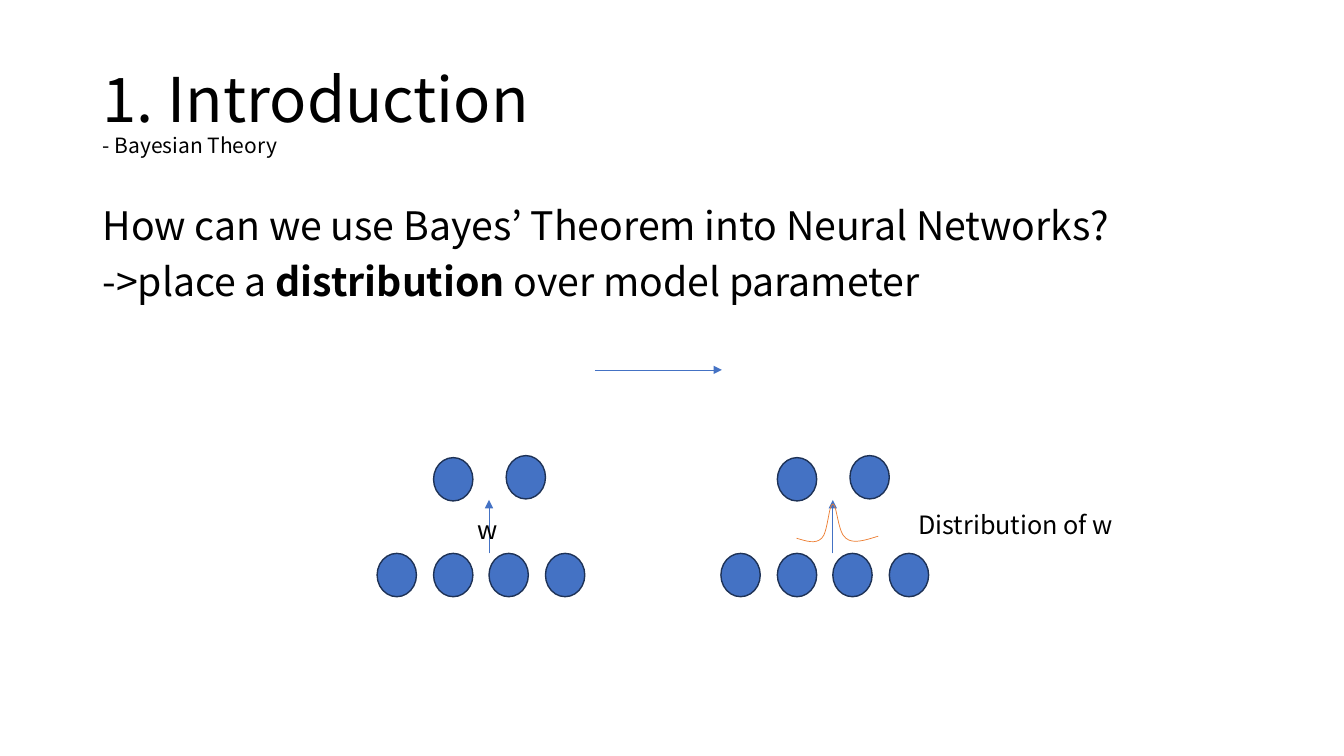
from lxml import etree
from pptx import Presentation
from pptx import util as u
from pptx.dml.color import RGBColor
from pptx.enum import shapes, text
from pptx.oxml.ns import qn

PX = 9144
FONT = "Noto Sans CJK KR"
BLACK, BLUE, NAVY, ORANGE = "000000", "4472C4", "1E3256", "ED7D31"


def px(length):
    return u.Emu(length * PX)


def colour(value):
    return RGBColor.from_string(value)


def outline(shape, line_colour, width):
    shape.line.color.rgb = colour(line_colour)
    shape.line.width = u.Pt(width)


def add_text(slide, box, paragraphs, anchor=text.MSO_ANCHOR.TOP, spacing=1.0, gap=0):
    frame = slide.shapes.add_textbox(*map(px, box)).text_frame
    frame.word_wrap = True
    frame.vertical_anchor = anchor
    for index, runs in enumerate(paragraphs):
        paragraph = frame.paragraphs[0] if index == 0 else frame.add_paragraph()
        paragraph.line_spacing = spacing
        if index:
            paragraph.space_before = u.Pt(gap)
        for words, size, bold in runs:
            if words == "\n":
                paragraph.add_line_break()
                continue
            run = paragraph.add_run()
            run.text = words
            run.font.name = FONT
            run.font.size = u.Pt(size)
            run.font.bold = bold
            run.font.color.rgb = colour(BLACK)


def add_arrow(slide, x1, y1, x2, y2):
    arrow = slide.shapes.add_connector(
        shapes.MSO_CONNECTOR.STRAIGHT, px(x1), px(y1), px(x2), px(y2))
    outline(arrow, BLUE, 0.5)
    etree.SubElement(arrow.line._get_or_add_ln(), qn("a:tailEnd"), type="triangle")
    etree.SubElement(arrow._element.spPr, qn("a:effectLst"))


def add_neuron(slide, left, top):
    neuron = slide.shapes.add_shape(
        shapes.MSO_SHAPE.OVAL, px(left), px(top), px(39), px(43))
    neuron.shadow.inherit = False
    neuron.fill.solid()
    neuron.fill.fore_color.rgb = colour(BLUE)
    outline(neuron, NAVY, 1)


def add_network(slide, left):
    for index in range(4):
        add_neuron(slide, left + round(index * 167 / 3), 549)
    add_neuron(slide, left + 56, 454)
    add_neuron(slide, left + 128, 452)
    add_arrow(slide, left + 111, 549, left + 111, 496)


def add_curve(slide, start, controls):
    builder = slide.shapes.build_freeform(*start, scale=PX)
    builder.add_line_segments(controls, close=False)
    curve = builder.convert_to_shape()
    curve.shadow.inherit = False
    curve.fill.background()
    outline(curve, ORANGE, 0.5)
    segments = list(curve._element.iter(qn("a:lnTo")))
    outline_path = segments[0].getparent()
    for first in range(0, len(segments), 3):
        bezier = etree.SubElement(outline_path, qn("a:cubicBezTo"))
        for segment in segments[first:first + 3]:
            bezier.append(segment[0])
            outline_path.remove(segment)


def main():
    deck = Presentation()
    deck.slide_width, deck.slide_height = px(1333), px(750)
    slide = deck.slides.add_slide(deck.slide_layouts[6])

    add_text(slide, (92, 40, 1150, 145),
             [[("1. Introduction", 44, False), ("\n", 44, False),
               ("- Bayesian Theory", 15, False)]],
             anchor=text.MSO_ANCHOR.MIDDLE, spacing=0.9)
    add_text(slide, (92, 200, 1150, 476),
             [[("How can we use Bayes’ Theorem into Neural Networks?", 28, False)],
              [("->place a ", 28, False), ("distribution", 28, True),
               (" over model parameter", 28, False)]],
             spacing=0.9, gap=10)

    add_arrow(slide, 590, 367, 716, 367)
    add_network(slide, 374)
    add_text(slide, (464, 505, 149, 40), [[("w", 18, False)]])
    add_network(slide, 715)
    add_text(slide, (901, 500, 308, 40), [[("Distribution of w", 18, False)]])
    add_curve(slide, (790, 534),
              [(800, 537), (809, 540), (815, 534),
               (821, 529), (822, 500), (826, 500),
               (830, 500), (831, 529), (839, 534),
               (846, 540), (858, 536), (871, 532)])

    deck.save("out.pptx")


if __name__ == "__main__":
    main()
